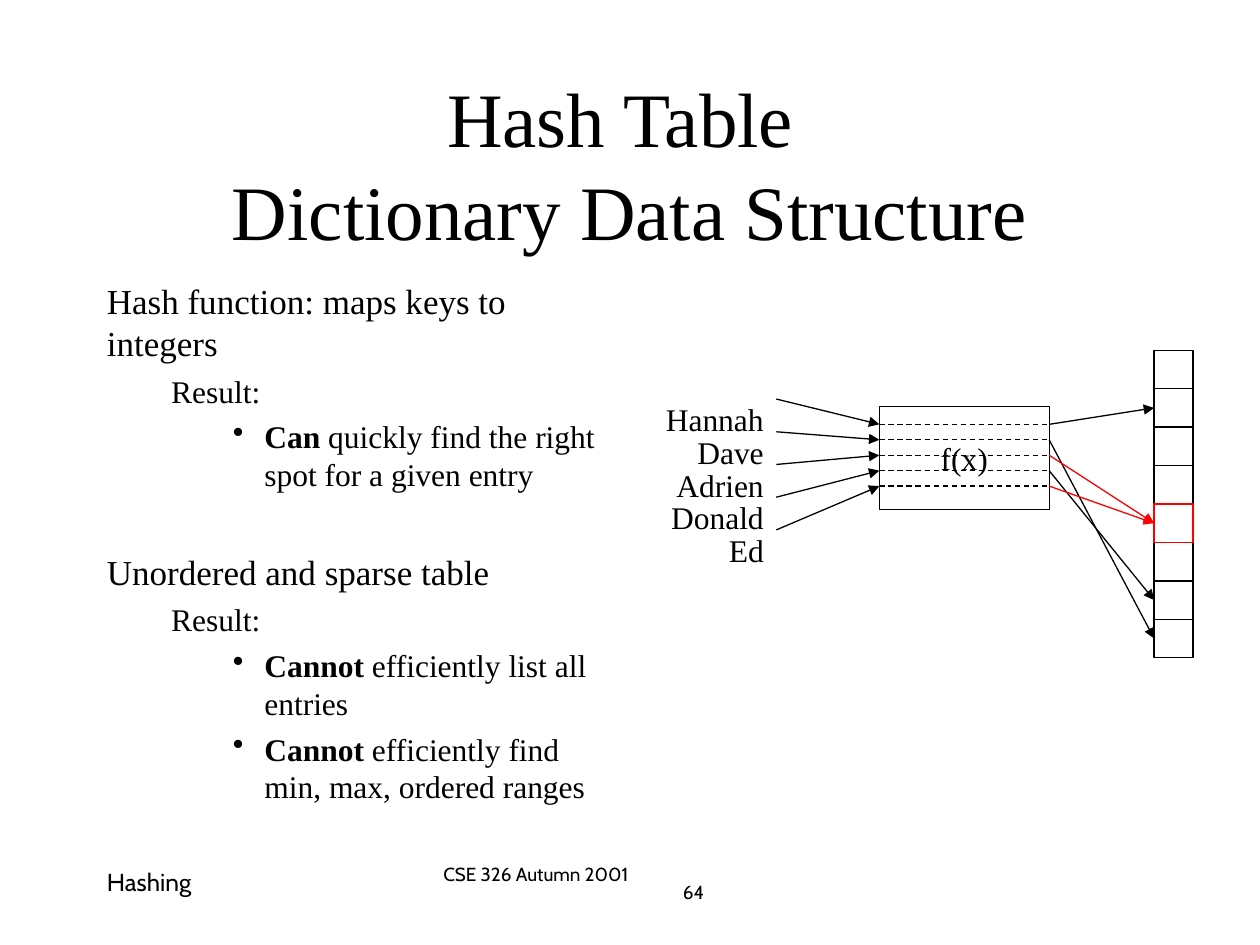
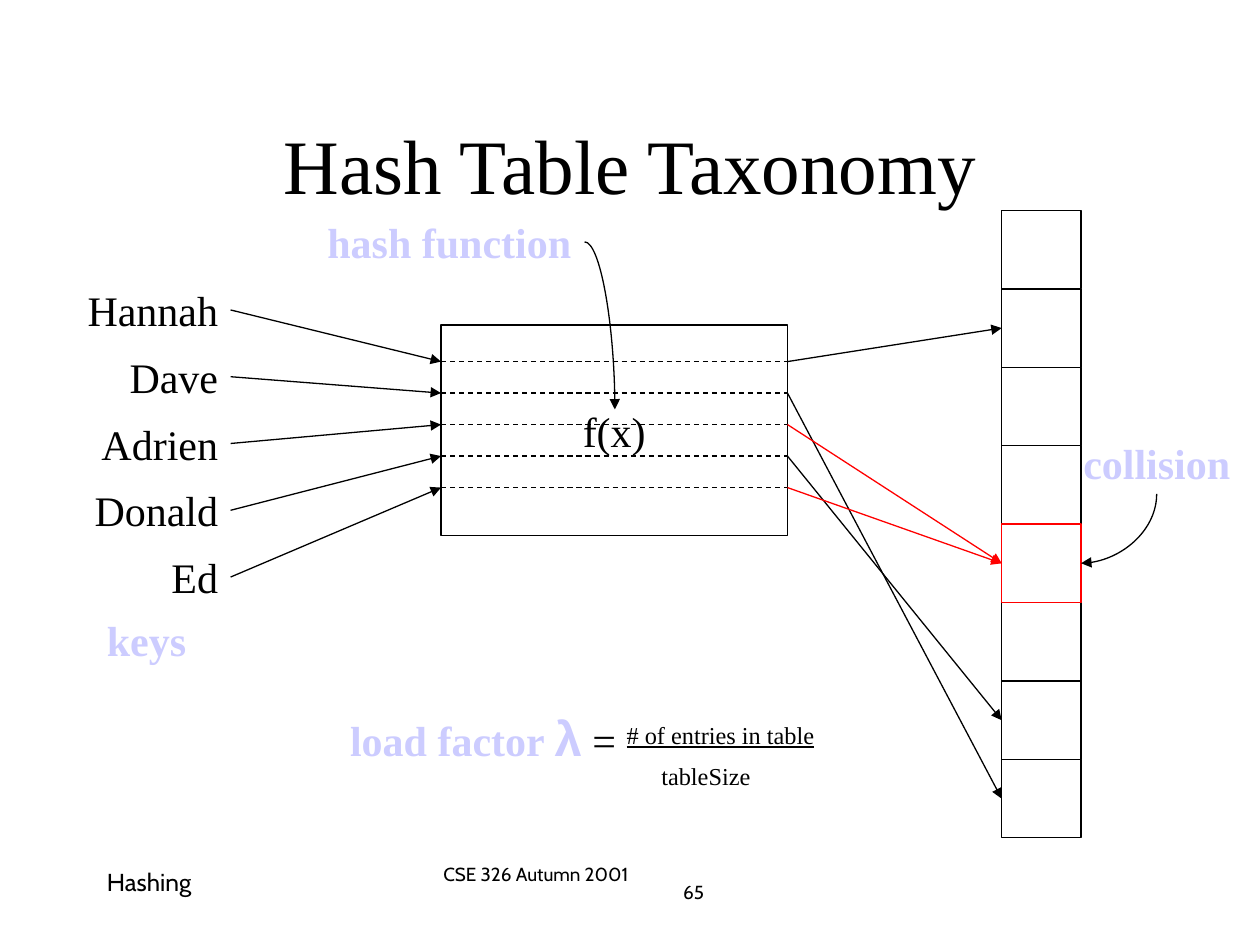
from lxml import etree
from pptx import Presentation
from pptx.dml.color import RGBColor
from pptx.enum.dml import MSO_LINE
from pptx.enum.shapes import MSO_CONNECTOR, MSO_SHAPE
from pptx.enum.text import MSO_ANCHOR, MSO_AUTO_SIZE, PP_ALIGN
from pptx.oxml.ns import qn
from pptx.util import Inches, Pt

COLORS = {"ink": "000000", "collision": "FF0000", "term": "CCCCFF"}
SERIF, FOOTER_FONT = "Times New Roman", "Cabin"
LINE_WIDTH = Pt(0.75)

KEYS = ["Hannah", "Dave", "Adrien", "Donald", "Ed"]
KEY_CELLS = [1, 7, 4, 6, 4]  # the cell each key hashes to
CELL_COUNT, COLLISION_CELL = 8, 4
# Full-size diagram, in inches; the small one is a scaled copy
TABLE_LEFT, TABLE_TOP, TABLE_HEIGHT, CELL_WIDTH = 7.95, 1.67, 4.98, 0.63
CELL_HEIGHT = TABLE_HEIGHT / CELL_COUNT
FUNCTION_LEFT, FUNCTION_TOP, FUNCTION_WIDTH, FUNCTION_HEIGHT = 3.5, 2.58, 2.75, 1.67
KEY_RIGHT, KEY_TOP, KEY_PITCH = 1.83, 2.46, 0.53
LANE_TOP, LANE_PITCH = 2.87, 0.25

# Indent level -> left margin, first-line indent, size, space before
LEVELS = [(0, 0, 20, 5), (0.82, -0.31, 18, 4.5), (1.25, -0.25, 18, 4.5)]
SECTION_GAP = 33
OUTLINE = [
    (0, "", "Hash function: maps keys to integers"),
    (1, "", "Result:"),
    (2, "Can", " quickly find the right spot for a given entry"),
    (0, "", "Unordered and sparse table"),
    (1, "", "Result:"),
    (2, "Cannot", " efficiently list all entries"),
    (2, "Cannot", " efficiently find min, max, ordered ranges"),
]


def color(name):
    return RGBColor.from_string(COLORS[name])


class Slides:
    """Holds the deck, its style and the page being drawn."""

    def __init__(self):
        self.deck = Presentation()
        self.deck.slide_width, self.deck.slide_height = Inches(10), Inches(7.5)
        self.page = None

    def new_page(self, title, number):
        self.page = self.deck.slides.add_slide(self.deck.slide_layouts[6])
        heading = self.text(0.75, 0.67, 8.5, 1.25, title, 44, align=PP_ALIGN.CENTER)
        heading.text_frame.vertical_anchor = MSO_ANCHOR.MIDDLE
        self.text(0.75, 6.83, 2.08, 0.5, "Hashing", 14, font=FOOTER_FONT)
        footer = self.text(3.42, 6.83, 3.17, 0.5)
        para = footer.text_frame.paragraphs[0]
        para.line_spacing = 0.8
        # Tab stops must come before the font, which text() has already set
        para.font._element.addprevious(self.inch_tabs())
        self.fill_para(para, f"CSE 326 Autumn 2001\t\t\t\t{number}", 10.8,
                       font=FOOTER_FONT, align=PP_ALIGN.CENTER)

    def inch_tabs(self):
        """Return a list of left tab stops, one at every inch."""
        tabs = etree.Element(qn("a:tabLst"))
        for inch in range(8):
            etree.SubElement(tabs, qn("a:tab"), pos=str(Inches(inch)), algn="l")
        return tabs

    def fill_para(self, para, words, size, font=SERIF, ink="ink", bold=None,
                  align=PP_ALIGN.LEFT):
        if words:
            para.text = words
        para.alignment = align
        para.font.name, para.font.size, para.font.bold = font, Pt(size), bold
        para.font.color.rgb = color(ink)

    def text(self, left, top, width, height, words="", size=24, wrap=True, **style):
        box = self.page.shapes.add_textbox(
            Inches(left), Inches(top), Inches(width), Inches(height))
        frame = box.text_frame
        frame.word_wrap = wrap
        frame.auto_size = MSO_AUTO_SIZE.NONE
        self.fill_para(frame.paragraphs[0], words, size, **style)
        return box

    def term(self, left, top, width, words):
        return self.text(left, top, width, 0.5, words, wrap=False, ink="term", bold=True)

    def outline(self, left, top, width, height, items):
        frame = self.text(left, top, width, height).text_frame
        for index, (level, strong, rest) in enumerate(items):
            margin, indent, size, before = LEVELS[level]
            para = frame.add_paragraph() if index else frame.paragraphs[0]
            if index:
                para.space_before = Pt(before if level else SECTION_GAP)
            props = para._p.get_or_add_pPr()
            props.set("marL", str(Inches(margin)))
            props.set("indent", str(Inches(indent)))
            if level == 2:
                etree.SubElement(props, qn("a:buChar"), char="•")
            if strong:
                span = para.add_run()
                span.text = strong
                span.font.bold = True
            para.add_run().text = rest
            self.fill_para(para, "", size)

    def rect(self, left, top, width, height, ink="ink"):
        shape = self.page.shapes.add_shape(
            MSO_SHAPE.RECTANGLE, Inches(left), Inches(top), Inches(width), Inches(height))
        shape.shadow.inherit = False
        shape.fill.background()
        shape.line.color.rgb = color(ink)
        shape.line.width = LINE_WIDTH
        return shape

    def line(self, start, end, ink="ink", arrow=True, kind=MSO_CONNECTOR.STRAIGHT):
        """Draw an arrow, or a dashed line when arrow is False."""
        points = [Inches(value) for value in (*start, *end)]
        connector = self.page.shapes.add_connector(kind, *points)
        connector.line.color.rgb = color(ink)
        connector.line.width = LINE_WIDTH
        if arrow:
            etree.SubElement(connector.line._get_or_add_ln(), qn("a:tailEnd"), type="triangle")
        else:
            connector.line.dash_style = MSO_LINE.DASH
        etree.SubElement(connector._element.spPr, qn("a:effectLst"))
        return connector

    def curve(self, start, end, turned=False):
        """Draw a quarter bend that leaves sideways, or downwards when turned."""
        if turned:
            middle_x, middle_y = (start[0] + end[0]) / 2, (start[1] + end[1]) / 2
            half_x, half_y = abs(end[1] - start[1]) / 2, abs(end[0] - start[0]) / 2
            start = middle_x - half_x, middle_y - half_y
            end = middle_x + half_x, middle_y + half_y
        connector = self.line(start, end, kind=MSO_CONNECTOR.CURVE)
        props = connector._element.spPr
        props.find(qn("a:prstGeom")).set("prst", "curvedConnector2")
        if turned:
            props.find(qn("a:xfrm")).set("rot", str(90 * 60000))

    def hash_diagram(self, table_left, table_top, scale, size, key_rise):
        """Draw keys, hash function and table; key_rise lifts each key above its arrow."""
        def place(x, y):
            return (table_left + (x - TABLE_LEFT) * scale,
                    table_top + (y - TABLE_TOP) * scale)

        cells = {}
        for index in sorted(range(CELL_COUNT), key=lambda cell: cell == COLLISION_CELL):
            cells[index] = self.rect(
                *place(TABLE_LEFT, TABLE_TOP + index * CELL_HEIGHT),
                CELL_WIDTH * scale, CELL_HEIGHT * scale,
                "collision" if index == COLLISION_CELL else "ink")

        function = self.rect(*place(FUNCTION_LEFT, FUNCTION_TOP),
                             FUNCTION_WIDTH * scale, FUNCTION_HEIGHT * scale)
        function.text_frame.word_wrap = False
        function.text_frame.vertical_anchor = MSO_ANCHOR.MIDDLE
        self.fill_para(function.text_frame.paragraphs[0], "f(x)", size,
                       align=PP_ALIGN.CENTER)

        for index, (key, cell) in enumerate(zip(KEYS, KEY_CELLS)):
            key_point = place(KEY_RIGHT, KEY_TOP + index * KEY_PITCH)
            lane = LANE_TOP + index * LANE_PITCH
            lane_start = place(FUNCTION_LEFT, lane)
            lane_end = place(FUNCTION_LEFT + FUNCTION_WIDTH, lane)
            self.text(key_point[0] - 1.3, key_point[1] - key_rise, 1.3, 0.5, key, size,
                      align=PP_ALIGN.RIGHT)
            self.line(key_point, lane_start)
            self.line(lane_start, lane_end, arrow=False)
            to_cell = self.line(
                lane_end, place(TABLE_LEFT, TABLE_TOP + (cell + 0.5) * CELL_HEIGHT),
                "collision" if cell == COLLISION_CELL else "ink")
            to_cell.end_connect(cells[cell], 1)

    def load_factor(self):
        """Add the formula, its fraction made of raised and lowered text."""
        formula = self.text(2.68, 5.57, 3.89, 0.97, wrap=False)
        para = formula.text_frame.paragraphs[0]
        label, symbol, equals, entries = [para.add_run() for _ in range(4)]
        label.text, symbol.text = "load factor ", "λ"
        equals.text, entries.text = " = ", "# of entries in table"
        for span in (label, symbol):
            span.font.bold = True
            span.font.color.rgb = color("term")
        symbol.font.name, symbol.font.size = "Arial", Pt(28)
        entries.font.underline = True
        entries._r.get_or_add_rPr().set("baseline", "30000")
        divisor = self.text(5.15, 5.77, 0.91, 0.56, "tableSize", wrap=False)
        span = divisor.text_frame.paragraphs[0].runs[0]
        span._r.get_or_add_rPr().set("baseline", "-25000")


def main():
    slides = Slides()

    slides.new_page("Hash Table \vDictionary Data Structure", 64)
    slides.outline(0.75, 2.17, 4.17, 4.5, OUTLINE)
    slides.hash_diagram(9.16, 2.78, scale=0.49, size=18, key_rise=0.04)

    slides.new_page("Hash Table Taxonomy", 65)
    slides.hash_diagram(TABLE_LEFT, TABLE_TOP, scale=1, size=24, key_rise=0.25)
    slides.term(2.5, 1.67, 2.13, "hash function")
    slides.term(8.5, 3.42, 1.36, "collision")
    slides.term(0.75, 4.83, 0.83, "keys")
    slides.load_factor()
    slides.curve((9.18, 3.92), (8.58, 4.47), turned=True)
    slides.curve((4.64, 1.92), (4.88, 3.25))

    slides.deck.save("out.pptx")


if __name__ == "__main__":
    main()
